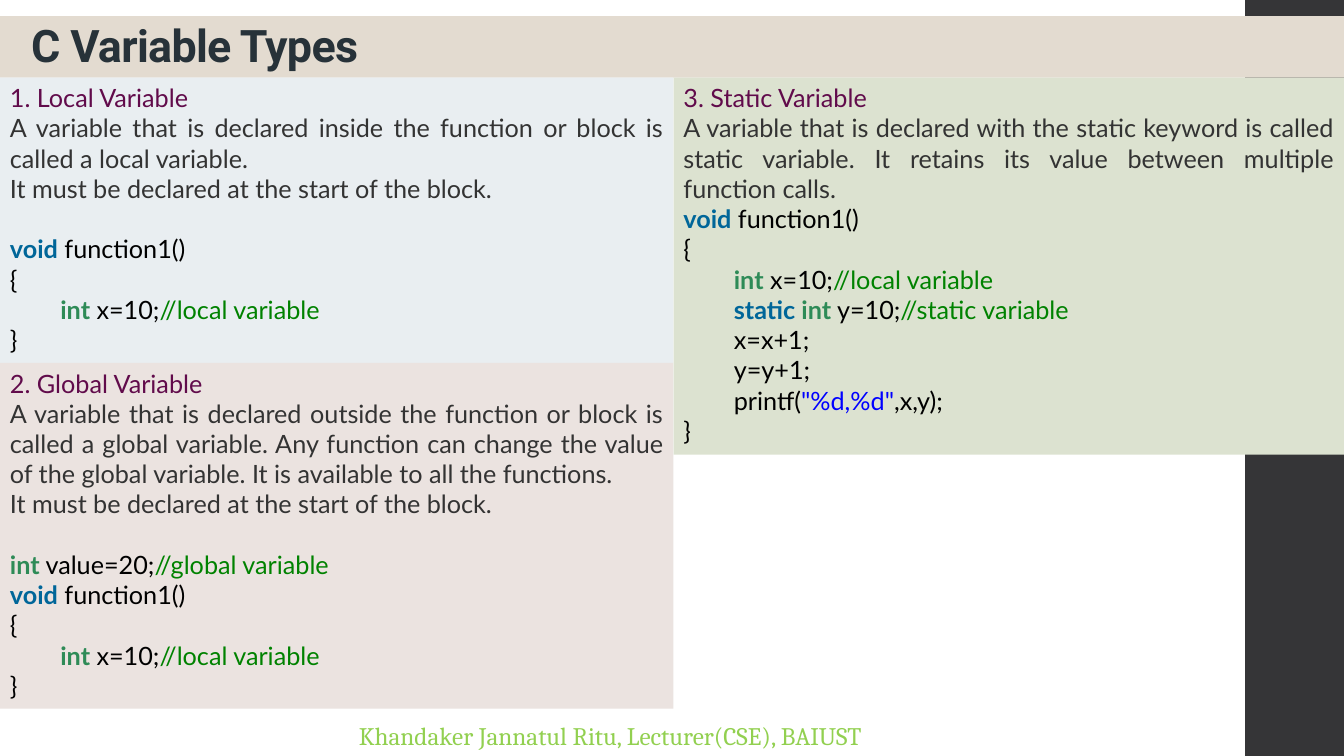
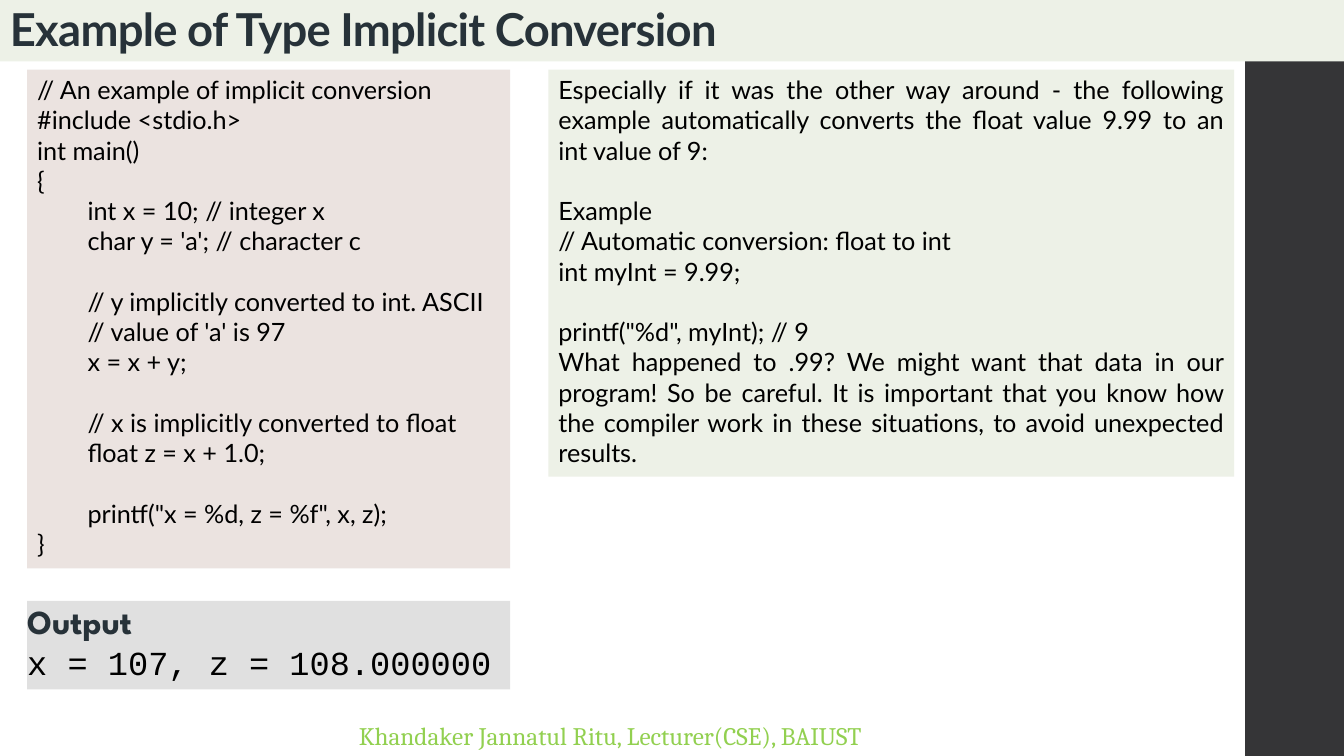
"""Build two slides on C variables and type conversion."""
from collections import namedtuple
from dataclasses import dataclass

from pptx import Presentation
from pptx.dml.color import RGBColor
from pptx.enum.text import MSO_ANCHOR, PP_ALIGN
from pptx.util import Inches, Pt

Box = namedtuple("Box", "left top wide high")
Line = namedtuple("Line", "runs tab gap")


@dataclass(frozen=True)
class Theme:
    """Hold the colours, fonts and type sizes."""
    band: str = "353537"
    foot: str = "92D050"
    title: str = "273239"
    sand: str = "E3DBD0"
    sky: str = "E9EEF1"
    rose: str = "EBE3E0"
    moss: str = "DCE2D0"
    pale: str = "EDF1E7"
    gray: str = "E0E0E0"
    head: str = "610B4B"
    prose: str = "333333"
    code: str = "000000"
    key: str = "006699"
    kind: str = "2E8B57"
    note: str = "008200"
    quote: str = "0000FF"
    font: str = "Lato"
    size: float = 18
    large: float = 24
    lead: float = 21.6
    step: float = 0.5


THEME = Theme()
BOLD = {"key", "kind", "title"}
JUST = PP_ALIGN.JUSTIFY


def apply(item, values):
    """Set each named attribute on the item."""
    for name, value in values.items():
        setattr(item, name, value)


def line(*runs, tab=0, gap=0):
    """Make a line from (ink, text) pairs, with tab steps and a gap in lines."""
    return Line(runs, tab, gap)


def plain(*texts, **form):
    """Make one code-coloured line for each text."""
    return [line(("code", text), **form) for text in texts]


def write(para, item, font, size):
    """Fill a paragraph with coloured runs."""
    if item.tab:
        props = para._p.get_or_add_pPr()
        props.set("marL", str(Inches(item.tab * THEME.step)))
        props.set("indent", "0")
    if item.gap:
        para.space_before = Pt(item.gap * THEME.lead)
    for ink, text in item.runs:
        run = para.add_run()
        run.text = text
        apply(run.font, {"name": font, "size": Pt(size), "bold": ink in BOLD})
        run.font.color.rgb = RGBColor.from_string(getattr(THEME, ink))


def panel(slide, box, lines, fill=None, align=None, font=THEME.font,
          size=THEME.size, frame=None):
    """Place a text panel and return its paragraphs."""
    shape = slide.shapes.add_textbox(*map(Inches, box))
    if fill:
        shape.fill.solid()
        shape.fill.fore_color.rgb = RGBColor.from_string(fill)
    text = shape.text_frame
    apply(text, {"word_wrap": True, **(frame or {})})
    for spot, item in enumerate(lines):
        para = text.add_paragraph() if spot else text.paragraphs[0]
        if align is not None:
            para.alignment = align
        write(para, item, font, size)
    return text.paragraphs


def base(slide, box):
    """Draw the side band and the footer."""
    panel(slide, Box(box.left + 12.35, box.top, 1, box.high), [], THEME.band)
    panel(slide, Box(box.left + 3.46, box.top + 7.1, 7.41, 0.4),
          [line(("foot", "Khandaker Jannatul Ritu, Lecturer(CSE), BAIUST"))],
          font="Cambria")


def title(slide, box, text, fill, font, size, inset=0.1):
    """Draw the title strip."""
    frame = {"vertical_anchor": MSO_ANCHOR.BOTTOM, "margin_left": Inches(inset)}
    para = panel(slide, box, [line(("title", text))], fill, JUST, font, size,
                 frame)[0]
    para.line_spacing = 0.9
    para.runs[0].font._element.set("spc", "-50")


def types(slide, box):
    """Lay out the three kinds of variable."""
    title(slide, Box(box.left, box.top + 0.16, box.wide, 0.61),
          "C Variable Types", THEME.sand, "Roboto", 32, 0.31)
    start = line(("prose", "It must be declared at the start of the block."))
    local = line(("kind", "int"), ("code", " x=10;"),
                 ("note", "//local variable"), tab=1)
    call = (("key", "void"), ("code", " function1()"))
    opens, shut = plain("{", "}")
    half, top = 6.68, box.top + 0.77
    parts = [
        (Box(box.left, top, half, 2.83), THEME.sky, "1. Local Variable",
         "A variable that is declared inside the function or block is called "
         "a local variable.",
         [start, line(*call, gap=1), opens, local, shut]),
        (Box(box.left, top + 2.83, half, 3.43), THEME.rose,
         "2. Global Variable",
         "A variable that is declared outside the function or block is called "
         "a global variable. Any function can change the value of the global "
         "variable. It is available to all the functions.",
         [start,
          line(("kind", "int"), ("code", " value=20;"),
               ("note", "//global variable"), gap=1),
          line(*call), opens, local, shut]),
        (Box(box.left + half, top, box.wide - half, 3.74), THEME.moss,
         "3. Static Variable",
         "A variable that is declared with the static keyword is called "
         "static variable. It retains its value between multiple function "
         "calls.",
         [line(*call), opens, local,
          line(("key", "static "), ("kind", "int"), ("code", " y=10;"),
               ("note", "//static variable"), tab=1),
          *plain("x=x+1;", "y=y+1;", tab=1),
          line(("code", "printf("), ("quote", '"%d,%d"'), ("code", ",x,y);"),
               tab=1),
          shut]),
    ]
    for area, fill, head, prose, rest in parts:
        lines = [line(("head", head)), line(("prose", prose)), *rest]
        panel(slide, area, lines, fill, JUST)


def sample(slide, box):
    """Lay out the code sample, its output and the remark."""
    title(slide, Box(box.left, box.top - 0.02, box.wide, 0.63),
          "Example of Type Implicit Conversion", THEME.pale, THEME.font, 32.4)
    left, top, wide = box.left + 0.27, box.top + 0.69, 4.79
    code = [
        *plain("// An example of implicit conversion", "#include <stdio.h>",
               "int main()", "{"),
        *plain("int x = 10; // integer x", "char y = 'a'; // character c",
               tab=1),
        *plain("// y implicitly converted to int. ASCII", tab=1, gap=1),
        *plain("// value of 'a' is 97", "x = x + y;", tab=1),
        *plain("// x is implicitly converted to float", tab=1, gap=1),
        *plain("float z = x + 1.0;", tab=1),
        *plain('printf("x = %d, z = %f", x, z);', tab=1, gap=1),
        *plain("}"),
    ]
    panel(slide, Box(left, top, wide, 4.95), code, THEME.rose)
    frame = {"vertical_anchor": MSO_ANCHOR.MIDDLE, "margin_left": 0,
             "margin_top": 0, "margin_right": 0, "margin_bottom": Inches(0.07)}
    paras = panel(slide, Box(left, box.top + 5.96, wide, 0.88),
                  [line(("title", "Output")),
                   *plain("x = 107, z = 108.000000")],
                  THEME.gray, font="Courier New", size=THEME.large, frame=frame)
    paras[0].runs[0].font.name = "League Spartan"
    remark = [
        *plain("Especially if it was the other way around - the following "
               "example automatically converts the float value 9.99 to an int "
               "value of 9:"),
        *plain("Example", gap=1),
        *plain("// Automatic conversion: float to int", "int myInt = 9.99;"),
        *plain('printf("%d", myInt); // 9', gap=1),
        *plain("What happened to .99? We might want that data in our program! "
               "So be careful. It is important that you know how the compiler "
               "work in these situations, to avoid unexpected results."),
    ]
    panel(slide, Box(box.left + 5.44, top, 6.8, 4.04), remark, THEME.pale, JUST)


def main():
    """Build and save the deck."""
    deck = Presentation()
    page = Box(0, 0, 13.33, 7.5)
    apply(deck, {"slide_width": Inches(page.wide),
                 "slide_height": Inches(page.high)})
    for draw in (types, sample):
        slide = deck.slides.add_slide(deck.slide_layouts[6])
        base(slide, page)
        draw(slide, page)
    deck.save("out.pptx")


if __name__ == "__main__":
    main()
